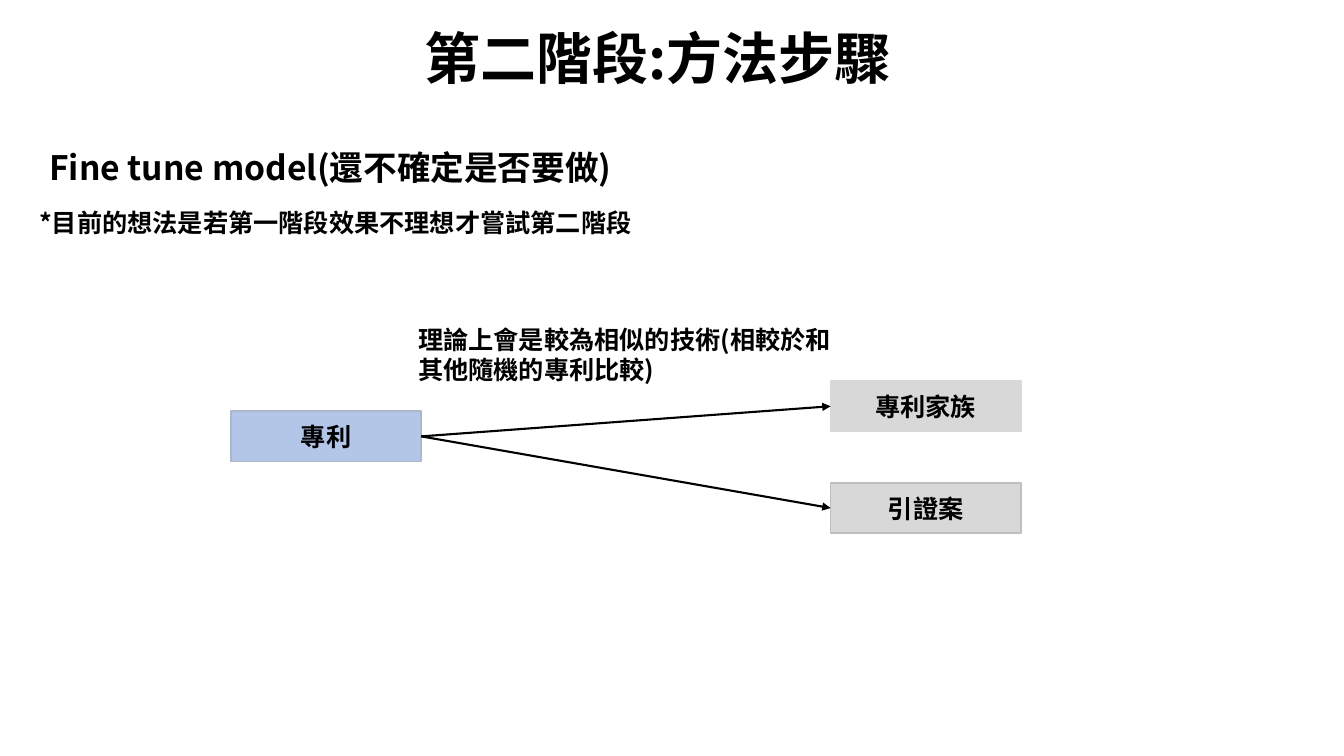
from lxml import etree
from pptx import Presentation
from pptx import util as u
from pptx.dml.color import RGBColor
from pptx.enum import shapes, text
from pptx.oxml import ns

Pt = u.Pt
BLACK = RGBColor(0x00, 0x00, 0x00)
BLUE = RGBColor(0xB3, 0xC6, 0xE7)
BLUE_EDGE = RGBColor(0xAC, 0xB8, 0xCA)
GRAY = RGBColor(0xD8, 0xD8, 0xD8)
GRAY_EDGE = RGBColor(0xBF, 0xBF, 0xBF)
CJK_FONT = "Noto Sans CJK TC"
NODE_WIDTH, NODE_HEIGHT = 136, 36


def write(shape, words, size, font=CJK_FONT, align=None, anchor=None):
    """Put one bold black paragraph into a shape."""
    frame = shape.text_frame
    frame.text = words
    frame.word_wrap = True
    frame.vertical_anchor = anchor
    para = frame.paragraphs[0]
    para.alignment = align
    for span in para.runs:
        span.font.name = font
        span.font.size = Pt(size)
        span.font.bold = True
        span.font.color.rgb = BLACK
        east_asian = etree.SubElement(span.font._element, ns.qn("a:ea"))
        east_asian.set("typeface", CJK_FONT)
    return para


def add_label(page, box, words, size, **layout):
    """Add a text box at box (left, top, width, height)."""
    label = page.shapes.add_textbox(*map(Pt, box))
    return write(label, words, size, **layout)


def add_node(page, left, top, words, fill, edge):
    """Add a filled, outlined box of the diagram."""
    node = page.shapes.add_shape(shapes.MSO_SHAPE.RECTANGLE, Pt(left), Pt(top),
                                 Pt(NODE_WIDTH), Pt(NODE_HEIGHT))
    node.shadow.inherit = False
    node.fill.solid()
    node.fill.fore_color.rgb = fill
    node.line.color.rgb = edge
    node.line.width = Pt(1)
    write(node, words, 18, "Calibri", text.PP_ALIGN.CENTER, text.MSO_ANCHOR.MIDDLE)
    return node


def add_arrow(page, source, target):
    """Join the right side of source to the left side of target."""
    arrow = page.shapes.add_connector(shapes.MSO_CONNECTOR.STRAIGHT, 0, 0, 0, 0)
    arrow.begin_connect(source, 3)
    arrow.end_connect(target, 1)
    arrow.line.color.rgb = BLACK
    arrow.line.width = Pt(1.5)
    head = etree.SubElement(arrow.line._get_or_add_ln(), ns.qn("a:tailEnd"))
    head.set("type", "triangle")
    etree.SubElement(arrow._element.spPr, ns.qn("a:effectLst"))


def add_heading(page, left, top):
    """Add the slide title, the section line and its remark."""
    title = add_label(page, (left + 88.5, top, 720, 56), "第二階段:方法步驟", 40,
                      align=text.PP_ALIGN.CENTER, anchor=text.MSO_ANCHOR.BOTTOM)
    title.line_spacing = 0.9
    add_label(page, (left + 7.2, top + 88.5, 882, 36),
              "Fine tune model(還不確定是否要做)", 24)
    add_label(page, (left, top + 131.7, 500, 29),
              "*目前的想法是若第一階段效果不理想才嘗試第二階段", 18)


def add_diagram(page, left, top):
    """Add the patent box, its two related boxes, arrows and caption."""
    patent = add_node(page, left, top + 65.5, "專利", BLUE, BLUE_EDGE)
    related = [("專利家族", 44, GRAY), ("引證案", 116.7, GRAY_EDGE)]
    targets = [add_node(page, left + 428.4, top + offset, words, GRAY, edge)
               for words, offset, edge in related]
    for target in targets:
        add_arrow(page, patent, target)
    add_label(page, (left + 126.7, top, 312, 51),
              "理論上會是較為相似的技術(相較於和其他隨機的專利比較)", 18)


deck = Presentation()
deck.slide_width, deck.slide_height = Pt(960), Pt(540)
page = deck.slides.add_slide(deck.slide_layouts[6])
add_heading(page, 20.9, 13)
add_diagram(page, 164.9, 228.2)
deck.save("out.pptx")
